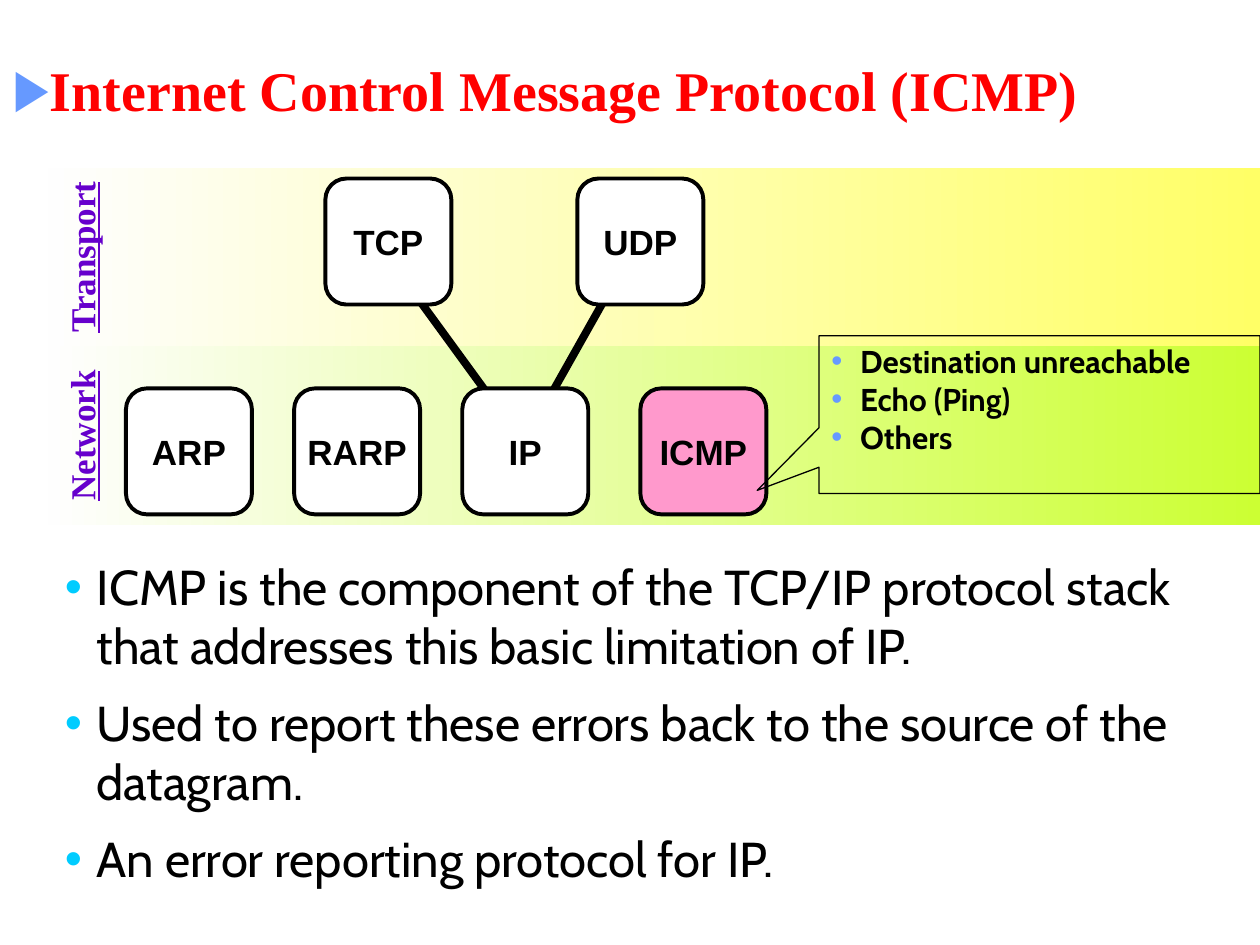
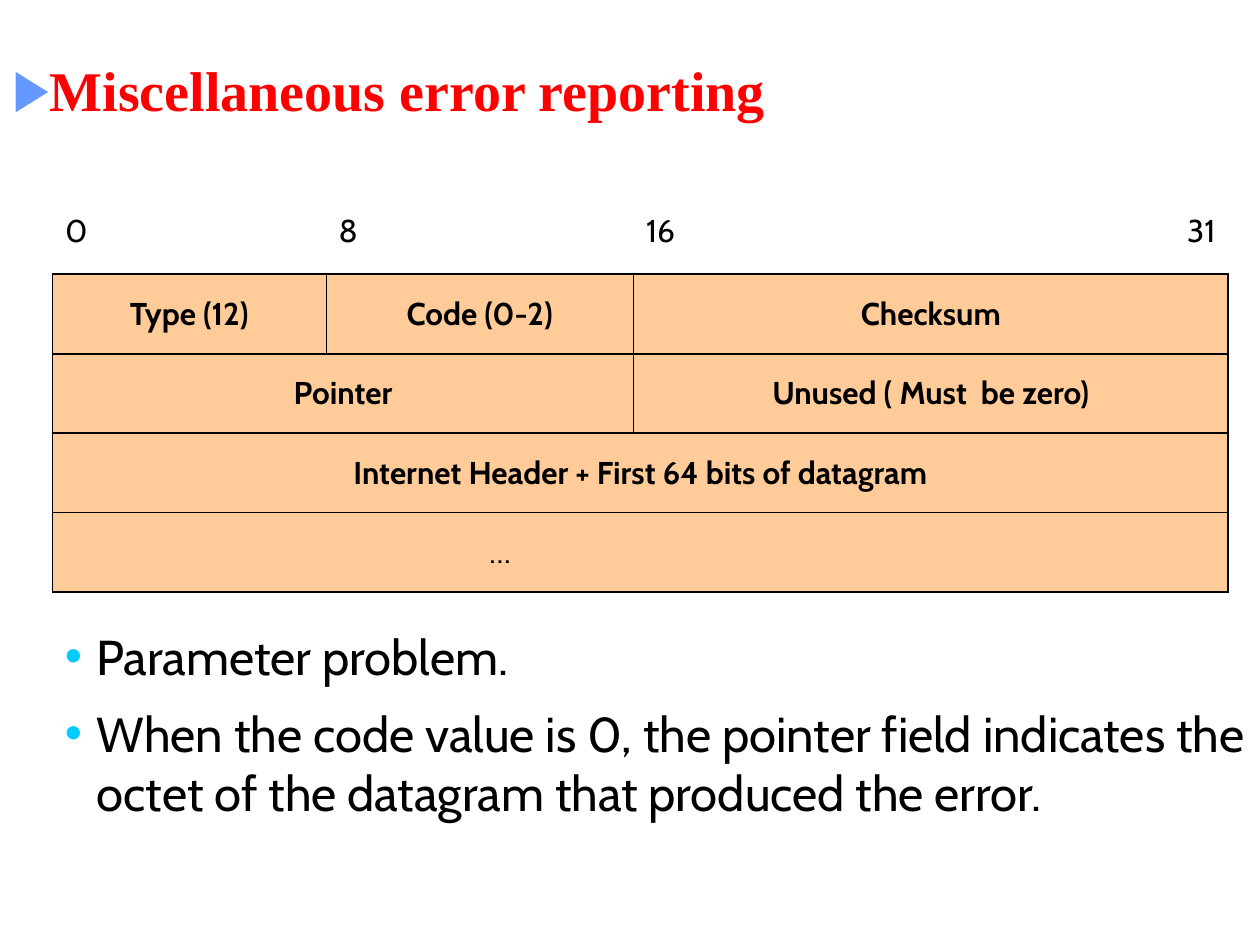
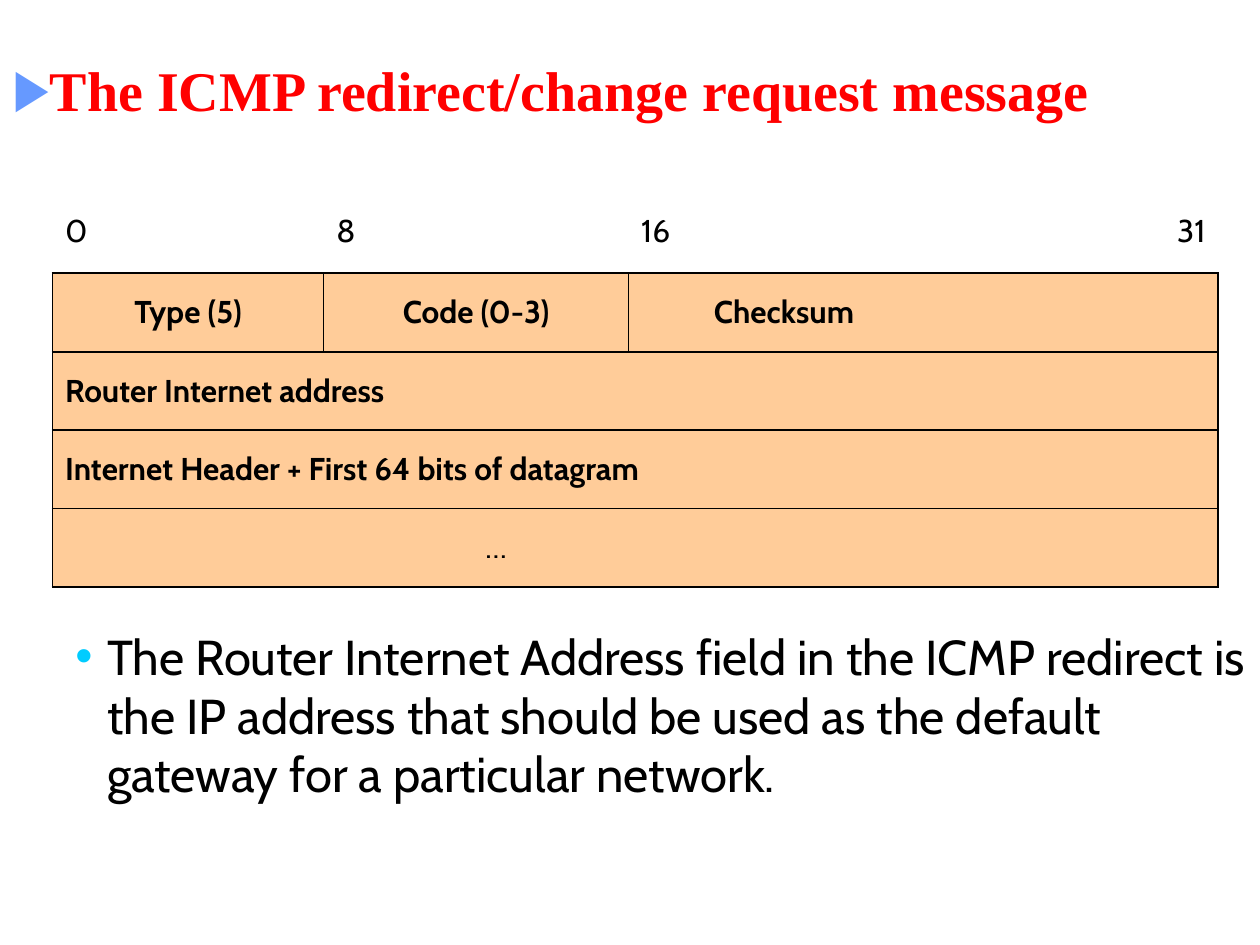
from lxml.etree import SubElement
from pptx import Presentation
from pptx.dml.color import RGBColor
from pptx.enum.shapes import MSO_CONNECTOR as Connector, MSO_SHAPE as Preset
from pptx.enum.text import MSO_ANCHOR as Anchor, MSO_AUTO_SIZE as AutoSize, PP_ALIGN as Align
from pptx.oxml import parse_xml
from pptx.oxml.ns import nsdecls, qn
from pptx.util import Cm, Pt

BLACK, WHITE, RED, PURPLE = "000000", "FFFFFF", "FF0000", "6600CC"
BLUE, CYAN, PINK, PEACH = "6699FF", "00CCFF", "FF99CC", "FFCC99"
BAND_END = "FEFEFE"
BODY, HEADING, LABEL = "Cabin", "Times New Roman", "Arial"

STACK = {
    "title": "Internet Control Message Protocol (ICMP)",
    "layers": [("Transport", "FFFF66"), ("Network", "CCFF33")],
    "protocols": [
        ("IP", 9.32, 7.83, WHITE),
        ("TCP", 6.56, 3.6, WHITE),
        ("UDP", 11.64, 3.6, WHITE),
        ("ICMP", 12.91, 7.83, PINK),
        ("ARP", 2.54, 7.83, WHITE),
        ("RARP", 5.93, 7.83, WHITE),
    ],
    "links": [(8.05, 5.5, 10.37, 8.68), (12.49, 5.5, 10.58, 8.89)],
    "messages": ["Destination unreachable", "Echo (Ping)", "Others"],
    "points": [
        "ICMP is the component of the TCP/IP protocol stack that addresses this basic limitation of IP.",
        "Used to report these errors back to the source of the datagram.",
        "An error reporting protocol for IP.",
    ],
    "points_at": (1.06, 11.1, 6.93),
}

BIT_MARKS = ["0", "8", "16", "31"]
FIELD_SHARES = [2.17, 2.44, 2.49, 2.23]
C, L = Align.CENTER, Align.LEFT

FORMATS = [
    {
        "title": "Miscellaneous error reporting",
        "width": 23.7, "mark_height": 1.72, "field_height": 1.6,
        "fields": [
            [("Type (12)", 1, C), ("Code (0-2)", 1, C), ("Checksum", 2, C)],
            [("Pointer", 2, C), ("Unused ( Must  be zero)", 2, C)],
            [("Internet Header + First 64 bits of datagram", 4, C)],
            [("…", 3, C), ("", 1, C)],
        ],
        "points": [
            "Parameter problem.",
            "When the code value is 0, the pointer field indicates the octet of the datagram that produced the error.",
        ],
        "points_at": (1.06, 12.5, 5.38),
    },
    {
        "title": "The ICMP redirect/change request message",
        "width": 23.5, "mark_height": 1.7, "field_height": 1.58,
        "fields": [
            [("Type (5)", 1, C), ("Code (0-3)", 1, C), ("Checksum", 1, C), ("", 1, C)],
            [("Router Internet address", 3, L), ("", 1, L)],
            [("Internet Header + First 64 bits of datagram", 3, L), ("", 1, L)],
            [("…", 3, C), ("", 1, C)],
        ],
        "points": [
            "The Router Internet Address field in the ICMP redirect is the IP address that should be used "
            "as the default gateway for a particular network.",
        ],
        "points_at": (1.27, 12.5, 3.81),
    },
]


def color(value):
    return RGBColor.from_string(value)


def write(paragraph, text, size, font, ink=BLACK, bold=False, underline=False, align=L):
    paragraph.alignment = align
    run = paragraph.add_run()
    run.text = text
    run.font.size, run.font.name = Pt(size), font
    run.font.bold, run.font.underline = bold, underline
    run.font.color.rgb = color(ink)


def add_bullet(paragraph, mark, ink, indent):
    props = paragraph._p.get_or_add_pPr()
    props.set("marL", str(Cm(indent)))
    props.set("indent", str(-Cm(indent)))
    SubElement(SubElement(props, qn("a:buClr")), qn("a:srgbClr")).set("val", ink)
    SubElement(props, qn("a:buFont")).set("typeface", LABEL)
    SubElement(props, qn("a:buChar")).set("char", mark)


def write_list(frame, items, size, bold, ink, indent, gap):
    frame.word_wrap = True
    for i, item in enumerate(items):
        paragraph = frame.add_paragraph() if i else frame.paragraphs[0]
        add_bullet(paragraph, "•", ink, indent)
        paragraph.space_before = Pt(gap if i else 0)
        write(paragraph, item, size, BODY, bold=bold)


def add_titled_slide(deck, heading):
    slide = deck.slides.add_slide(deck.slide_layouts[5])
    title = slide.shapes.title
    title.left, title.top, title.width, title.height = Cm(0), Cm(0.84), Cm(25.4), Cm(1.9)
    frame = title.text_frame
    frame.auto_size, frame.vertical_anchor = AutoSize.NONE, Anchor.MIDDLE
    add_bullet(frame.paragraphs[0], "▶", BLUE, 0)
    write(frame.paragraphs[0], heading, 32, HEADING, RED, bold=True)
    return slide


def add_points(slide, points, place):
    left, top, height = place
    box = slide.shapes.add_textbox(Cm(left), Cm(top), Cm(24.33), Cm(height))
    write_list(box.text_frame, points, 28, False, CYAN, 0.64, 10.5)
    box.text_frame.auto_size = AutoSize.SHAPE_TO_FIT_TEXT


def add_layer(slide, index, name, tint):
    length, depth = 24.43, 3.6
    center_x, center_y = 0.97 + length / 2, 3.38 + depth * (index + 0.5)
    band = slide.shapes.add_shape(Preset.RECTANGLE, Cm(center_x - depth / 2), Cm(center_y - length / 2),
                                  Cm(depth), Cm(length))
    band.rotation = 270
    band.shadow.inherit = False
    band.line.fill.background()
    band.fill.gradient()
    band.fill.gradient_angle = 90
    for stop, ink in zip(band.fill.gradient_stops, (tint, BAND_END)):
        stop.color.rgb = color(ink)
    frame = band.text_frame
    frame.word_wrap, frame.vertical_anchor, frame.margin_top = False, Anchor.TOP, Cm(0.25)
    write(frame.paragraphs[0], name, 20, HEADING, PURPLE, bold=True, underline=True, align=C)


def add_link(slide, ends):
    link = slide.shapes.add_connector(Connector.STRAIGHT, *map(Cm, ends))
    link.line.color.rgb, link.line.width = color(BLACK), Pt(4.5)
    SubElement(link._element.spPr, qn("a:effectLst"))


def add_protocol(slide, name, left, top, tint):
    node = slide.shapes.add_shape(Preset.FLOWCHART_ALTERNATE_PROCESS, Cm(left), Cm(top), Cm(2.54), Cm(2.54))
    node.shadow.inherit = False
    node.fill.solid()
    node.fill.fore_color.rgb = color(tint)
    node.line.color.rgb, node.line.width = color(BLACK), Pt(2.25)
    node.text_frame.word_wrap, node.text_frame.vertical_anchor = False, Anchor.MIDDLE
    write(node.text_frame.paragraphs[0], name, 20, LABEL, bold=True, align=C)


def add_messages(slide, messages):
    callout = slide.shapes.add_shape(Preset.RECTANGULAR_CALLOUT, Cm(16.51), Cm(6.77), Cm(8.89), Cm(3.18))
    callout.adjustments[0], callout.adjustments[1] = -0.64, 0.48
    callout.shadow.inherit = False
    callout.fill.background()
    callout.line.color.rgb, callout.line.width = color(BLACK), Pt(0.75)
    callout.text_frame.vertical_anchor = Anchor.TOP
    write_list(callout.text_frame, messages, 18, True, BLUE, 0.58, 0)


def set_borders(cell, widths):
    props = cell._tc.get_or_add_tcPr()
    for i, (side, width) in enumerate(zip("LRTB", widths)):
        paint = f'<a:solidFill><a:srgbClr val="{BLACK}"/></a:solidFill>' if width else "<a:noFill/>"
        props.insert(i, parse_xml(f'<a:ln{side} {nsdecls("a")} w="{Pt(width)}">{paint}</a:ln{side}>'))


def fill_cell(cell, text, align, bold, tint, borders):
    cell.vertical_anchor = Anchor.MIDDLE
    if text:
        write(cell.text_frame.paragraphs[0], text, 18, BODY, bold=bold, align=align)
    if tint:
        cell.fill.solid()
        cell.fill.fore_color.rgb = color(tint)
    else:
        cell.fill.background()
    set_borders(cell, borders)


def add_format(slide, content):
    thick, thin = 1.08, 0.45
    fields, width = content["fields"], content["width"]
    heights = [content["mark_height"]] + [content["field_height"]] * len(fields)
    table = slide.shapes.add_table(len(heights), len(BIT_MARKS), Cm(1.06), Cm(3.81),
                                   Cm(width), Cm(sum(heights))).table
    table.first_row = table.horz_banding = False
    for column, share in zip(table.columns, FIELD_SHARES):
        column.width = Cm(width * share / sum(FIELD_SHARES))
    for row, height in zip(table.rows, heights):
        row.height = Cm(height)
    for i, mark in enumerate(BIT_MARKS):
        align = Align.RIGHT if i == len(BIT_MARKS) - 1 else L
        fill_cell(table.cell(0, i), mark, align, False, None, (0, 0, 0, thick))
    for row, parts in enumerate(fields, 1):
        start = 0
        for i, (text, span, align) in enumerate(parts):
            cell = table.cell(row, start)
            if span > 1:
                cell.merge(table.cell(row, start + span - 1))
            left = thick if i == 0 else thin if text else 0
            right = thick if i == len(parts) - 1 else thin if parts[i + 1][0] else 0
            fill_cell(cell, text, align, text != "…", PEACH, (left, right, thick, thick))
            start += span


def main():
    deck = Presentation()
    deck.slide_width, deck.slide_height = Cm(25.4), Cm(19.05)

    stack = add_titled_slide(deck, STACK["title"])
    for i, (name, tint) in enumerate(STACK["layers"]):
        add_layer(stack, i, name, tint)
    for ends in STACK["links"]:
        add_link(stack, ends)
    for protocol in STACK["protocols"]:
        add_protocol(stack, *protocol)
    add_messages(stack, STACK["messages"])
    add_points(stack, STACK["points"], STACK["points_at"])

    for content in FORMATS:
        slide = add_titled_slide(deck, content["title"])
        add_format(slide, content)
        add_points(slide, content["points"], content["points_at"])

    deck.save("out.pptx")


if __name__ == "__main__":
    main()
